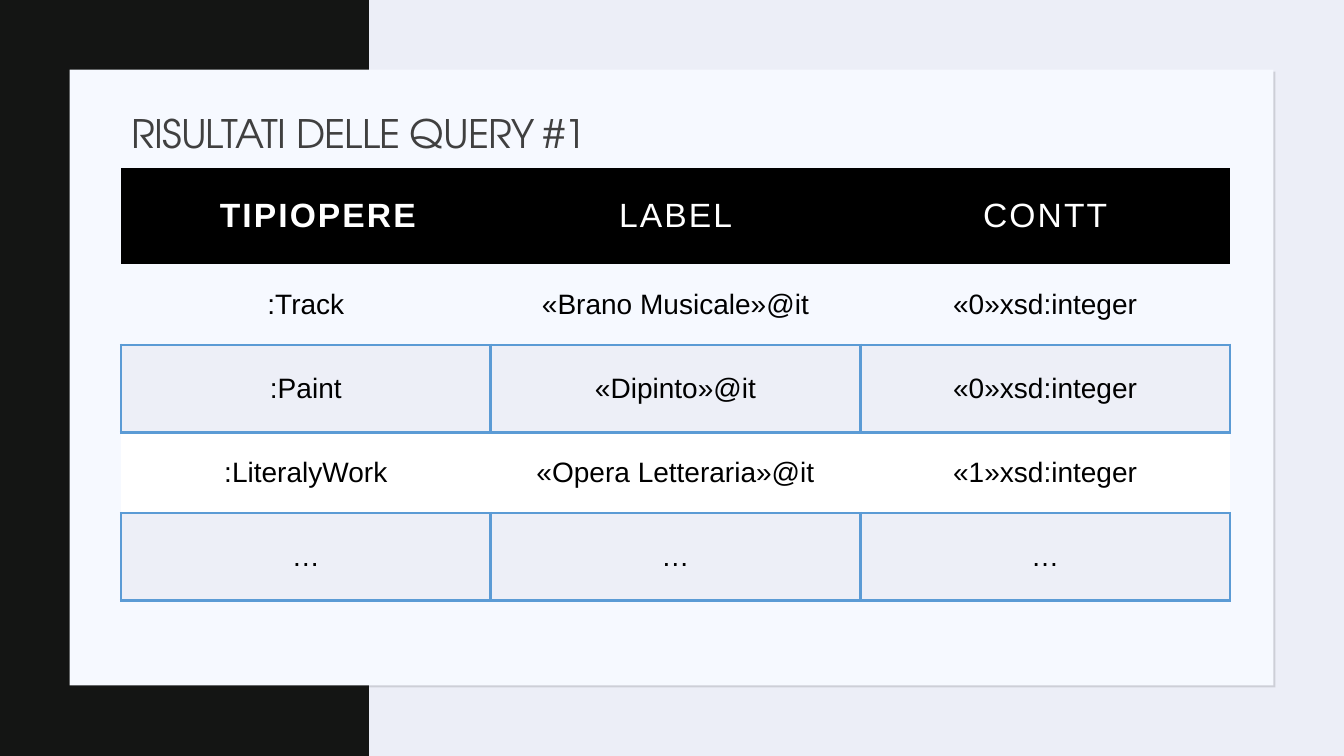
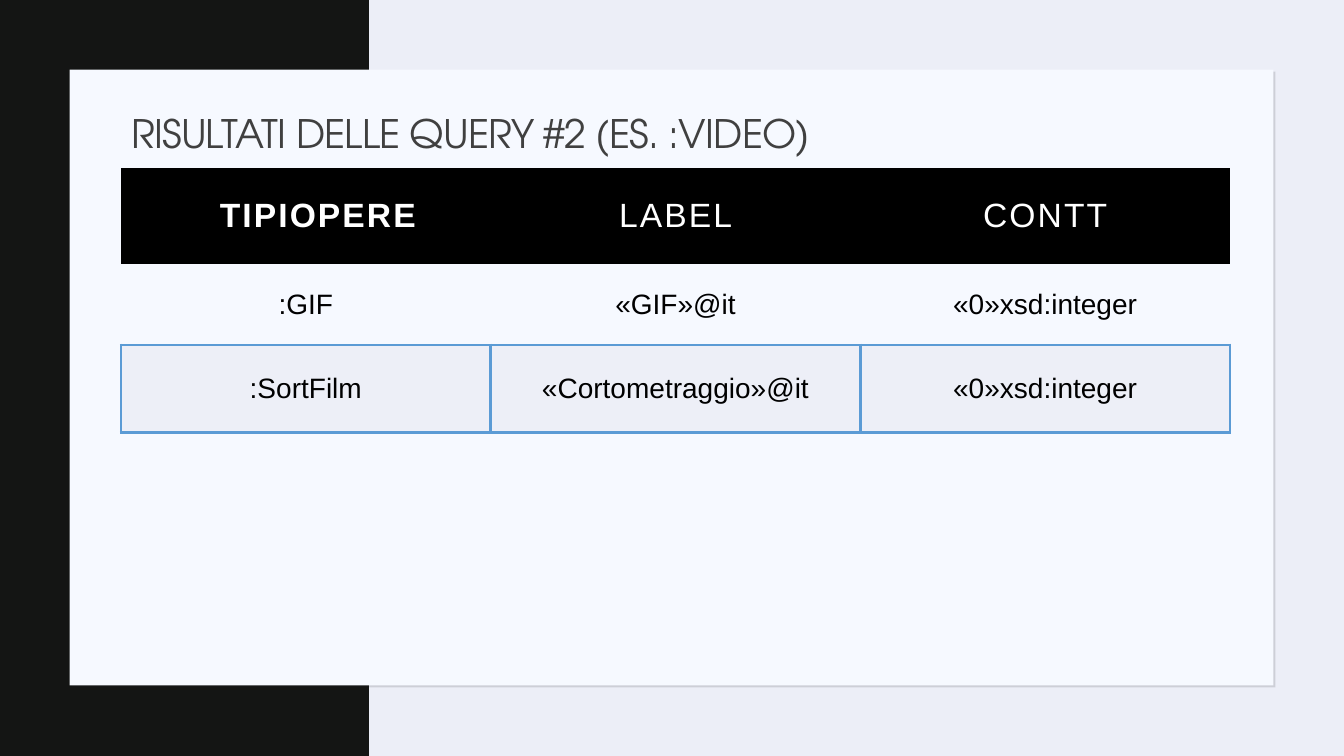
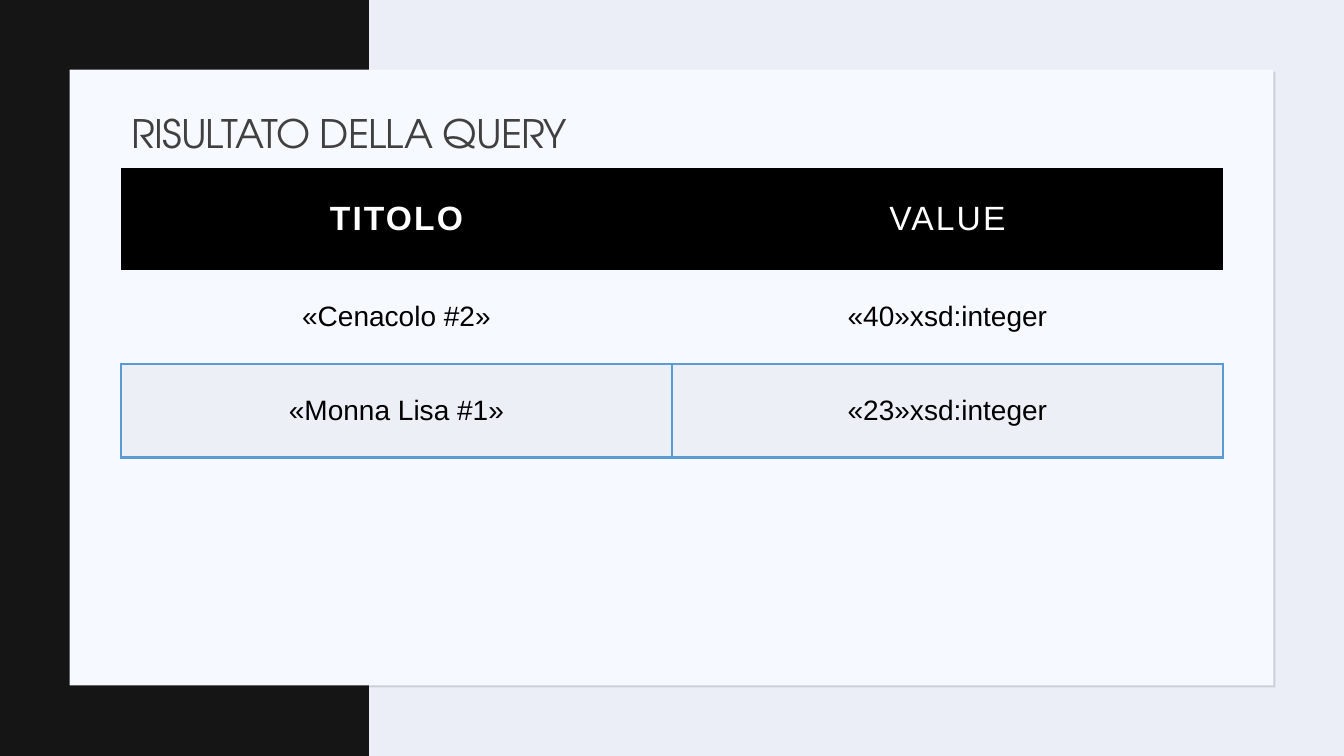
import pptx
import pptx.dml.color
import pptx.enum.shapes
import pptx.enum.text
import pptx.oxml
import pptx.oxml.ns
import pptx.util

RGBColor = pptx.dml.color.RGBColor
Inches = pptx.util.Inches
Pt = pptx.util.Pt
ALIGN = pptx.enum.text.PP_ALIGN
MIDDLE = pptx.enum.text.MSO_ANCHOR.MIDDLE

INK = RGBColor(0x14, 0x15, 0x14)
PAGE = RGBColor(0xEC, 0xEE, 0xF7)
PANEL = RGBColor(0xF6, 0xF9, 0xFF)
TINT = RGBColor(0xED, 0xEF, 0xF7)
WHITE = RGBColor(0xFF, 0xFF, 0xFF)
BLACK = RGBColor(0, 0, 0)
GREY = RGBColor(0x40, 0x40, 0x40)
BLUE = RGBColor(0x5B, 0x9B, 0xD5)
SHADE = RGBColor(0x1F, 0x21, 0x25)

NO_STYLE = "{2D5ABB26-0587-4C30-8999-92F81FD0307C}"
ROW_FILLS = [PANEL, TINT, WHITE, TINT]
BORDER = Pt(1.98)
NS = pptx.oxml.ns.nsdecls("a")


def put_text(tf, text, size, color, font="Arial", bold=False, spacing=0,
             align=ALIGN.CENTER, line=None):
    p = tf.paragraphs[0]
    p.alignment = align
    p.line_spacing = line
    r = p.add_run()
    r.text = text
    r.font.name = font
    r.font.size = Pt(size)
    r.font.bold = bold
    r.font.color.rgb = color
    r.font._element.set("spc", str(int(spacing * 100)))


class Deck:
    """Holds the shared style and the current slide."""

    def __init__(self):
        self.prs = pptx.Presentation()
        self.prs.slide_width = Inches(13.33)
        self.prs.slide_height = Inches(7.5)
        self.layout = self.prs.slide_layouts[5]
        self.s = None

    def decorate_layout(self):
        fill = self.layout.background.fill
        fill.solid()
        fill.fore_color.rgb = PAGE
        band = self.rect(0, 0, 3.66, 7.5, INK)
        panel = self.rect(0.69, 0.69, 11.94, 6.11, PANEL)
        effects = panel._element.spPr.find(pptx.oxml.ns.qn("a:effectLst"))
        effects.append(pptx.oxml.parse_xml(
            f'<a:outerShdw {NS} blurRad="0" dist="{Pt(2)}" dir="2700000">'
            f'<a:srgbClr val="{SHADE}"><a:alpha val="15000"/></a:srgbClr>'
            '</a:outerShdw>'))
        for i, sp in enumerate((band, panel)):
            self.layout.shapes._spTree.insert(2 + i, sp._element)

    def rect(self, x, y, w, h, color):
        sp = self.s.shapes.add_shape(
            pptx.enum.shapes.MSO_SHAPE.RECTANGLE,
            Inches(x), Inches(y), Inches(w), Inches(h))
        sp.shadow.inherit = False
        sp.fill.solid()
        sp.fill.fore_color.rgb = color
        sp.line.fill.background()
        return sp

    def slide(self, title):
        first = self.s is None
        self.s = self.prs.slides.add_slide(self.layout)
        if first:
            self.decorate_layout()
        sp = self.s.shapes.title
        sp.left, sp.top = Inches(1.2), Inches(1.03)
        sp.width, sp.height = Inches(11), Inches(0.64)
        tf = sp.text_frame
        tf.auto_size = pptx.enum.text.MSO_AUTO_SIZE.NONE
        tf.vertical_anchor = MIDDLE
        put_text(tf, title, 28, GREY, font="TeX Gyre Adventor", spacing=-0.5,
                 align=ALIGN.LEFT, line=0.9)

    def cell(self, cell, text, fill, bordered=False, **fmt):
        tcPr = cell._tc.get_or_add_tcPr()
        if bordered:
            for side in "LRTB":
                tcPr.append(pptx.oxml.parse_xml(
                    f'<a:ln{side} {NS} w="{BORDER}"><a:solidFill>'
                    f'<a:srgbClr val="{BLUE}"/></a:solidFill></a:ln{side}>'))
        cell.fill.solid()
        cell.fill.fore_color.rgb = fill
        cell.margin_left = cell.margin_right = Inches(0.25)
        cell.margin_top = cell.margin_bottom = Inches(0.05)
        cell.vertical_anchor = MIDDLE
        put_text(cell.text_frame, text, **fmt)

    def table(self, width, heights, header, rows):
        frame = self.s.shapes.add_table(
            len(rows) + 1, len(header), Inches(1.2), Inches(1.67),
            Inches(width), Inches(sum(heights)))
        table = frame.table
        table.first_row = table.horz_banding = False
        table._tbl.tblPr.find(pptx.oxml.ns.qn("a:tableStyleId")).text = NO_STYLE
        for column in table.columns:
            column.width = Inches(width / len(header))
        for row, height in zip(table.rows, heights):
            row.height = Inches(height)
        for c, text in enumerate(header):
            self.cell(table.cell(0, c), text, BLACK, size=24, color=WHITE,
                      bold=c == 0, spacing=1.5)
        for r, (row, fill) in enumerate(zip(rows, ROW_FILLS), 1):
            for c, text in enumerate(row):
                self.cell(table.cell(r, c), text, fill, bordered=fill == TINT,
                          size=20, color=BLACK)
        return table

    def types_table(self, rows):
        heights = [0.95] + [0.8, 0.87] * (len(rows) // 2)
        table = self.table(11, heights, ["TIPIOPERE", "LABEL", "CONTT"], rows)
        table.cell(0, 0).margin_left = Inches(0.49)


def main():
    deck = Deck()

    deck.slide("RISULTATI DELLE QUERY #1")
    deck.types_table([
        [":Track", "«Brano Musicale»@it", "«0»xsd:integer"],
        [":Paint", "«Dipinto»@it", "«0»xsd:integer"],
        [":LiteralyWork", "«Opera Letteraria»@it", "«1»xsd:integer"],
        ["…", "…", "…"],
    ])

    deck.slide("RISULTATI DELLE QUERY #2 (ES. :VIDEO)")
    deck.types_table([
        [":GIF", "«GIF»@it", "«0»xsd:integer"],
        [":SortFilm", "«Cortometraggio»@it", "«0»xsd:integer"],
    ])

    deck.slide("RISULTATO DELLA QUERY")
    deck.table(10.93, [1.01, 0.93, 0.93], ["TITOLO", "VALUE"], [
        ["«Cenacolo #2»", "«40»xsd:integer"],
        ["«Monna Lisa #1»", "«23»xsd:integer"],
    ])

    deck.prs.save("out.pptx")


if __name__ == "__main__":
    main()
